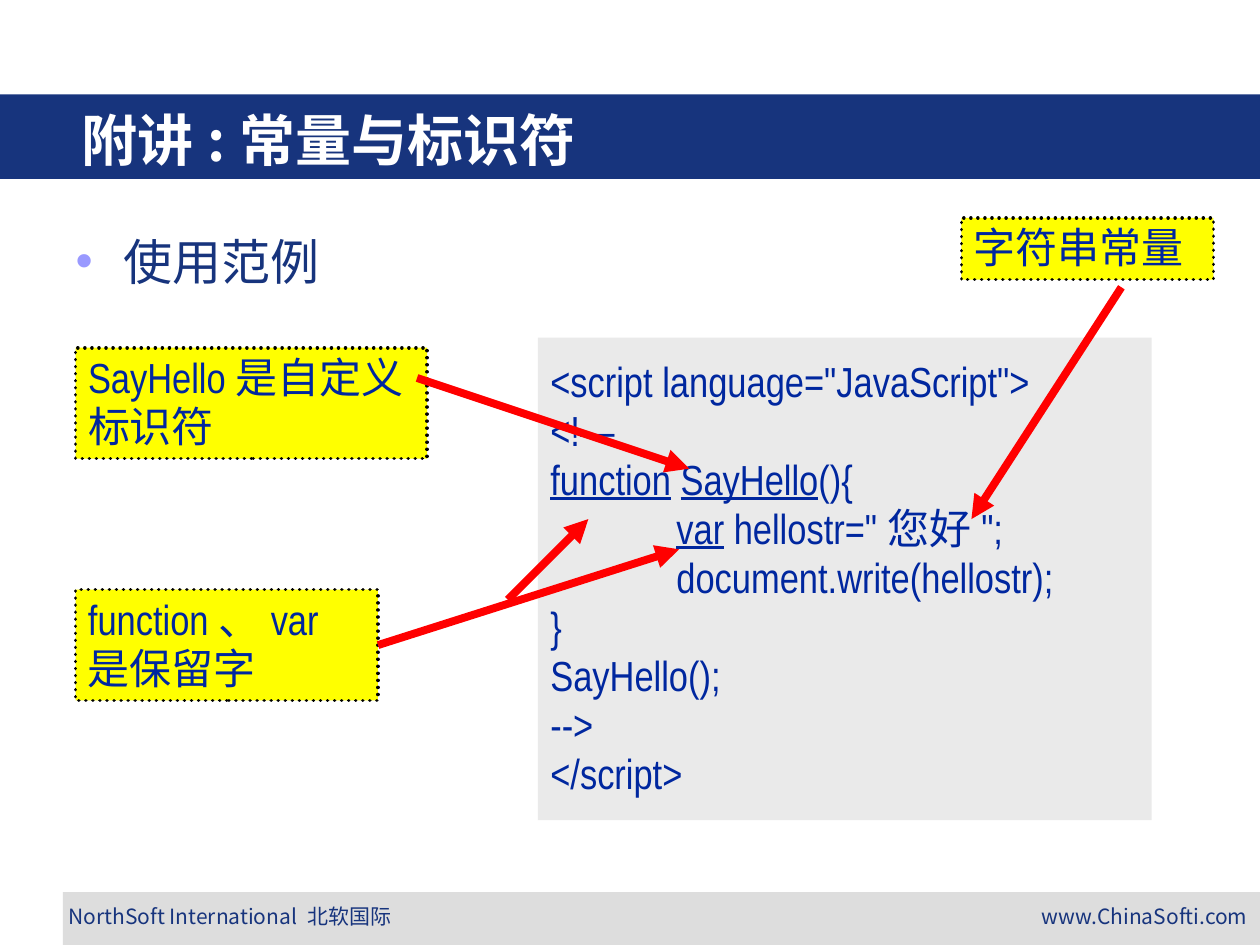
from lxml.etree import SubElement
from pptx import Presentation
from pptx.dml.color import RGBColor
from pptx.enum.dml import MSO_LINE
from pptx.enum.shapes import MSO_CONNECTOR, MSO_SHAPE
from pptx.enum.text import MSO_ANCHOR, PP_ALIGN
from pptx.oxml.ns import qn
from pptx.util import Inches, Pt

NAVY = RGBColor(0x17, 0x34, 0x7D)
BLUE = RGBColor(0x00, 0x27, 0x9F)
WHITE = RGBColor(0xFF, 0xFF, 0xFF)
GREY = RGBColor(0xDD, 0xDD, 0xDD)
PALE = RGBColor(0xEA, 0xEA, 0xEA)
YELLOW = RGBColor(0xFF, 0xFF, 0x00)
BLACK = RGBColor(0x00, 0x00, 0x00)
RED = RGBColor(0xFF, 0x00, 0x00)
SANS = "Noto Sans CJK SC"
NARROW = "Arial Narrow"

# Words between underscores are underlined.
CODE = [
    '<script language="JavaScript">',
    "<!—",
    "_function_ _SayHello_(){",
    '\t_var_ hellostr="您好";',
    "\tdocument.write(hellostr);",
    "}",
    "SayHello();",
    "-->",
    "</script>",
]


def style(run, size, color, face, bold=False):
    font = run.font
    font.size, font.name, font.bold = Pt(size), face, bold
    font.color.rgb = color
    SubElement(font._element, qn("a:ea"), typeface=SANS)


def place(shape, left, top, width, height):
    shape.left, shape.top = Inches(left), Inches(top)
    shape.width, shape.height = Inches(width), Inches(height)


def add_rect(slide, box, color):
    rect = slide.shapes.add_shape(MSO_SHAPE.RECTANGLE, *map(Inches, box))
    rect.shadow.inherit = False
    rect.fill.solid()
    rect.fill.fore_color.rgb = color
    rect.line.fill.background()
    return rect


def add_foot(slide, box, text, align):
    frame = slide.shapes.add_textbox(*map(Inches, box)).text_frame
    frame.word_wrap = True
    frame.text = text
    para = frame.paragraphs[0]
    para.alignment = align
    style(para.runs[0], 12, NAVY, SANS)


def set_title(slide, text):
    title = slide.shapes.title
    place(title, 0.55, 0.79, 8.53, 0.62)
    frame = title.text_frame
    frame.text = text
    frame.vertical_anchor = MSO_ANCHOR.MIDDLE
    para = frame.paragraphs[0]
    para.alignment = PP_ALIGN.LEFT
    style(para.runs[0], 32, WHITE, SANS, True)


def set_body(slide, text):
    body = slide.placeholders[1]
    place(body, 0.5, 1.55, 9, 5.34)
    body.text_frame.text = text
    para = body.text_frame.paragraphs[0]
    props = para._p.get_or_add_pPr()
    props.set("marL", str(Inches(0.38)))
    props.set("indent", str(-Inches(0.38)))
    tint = SubElement(props, qn("a:buClr"))
    SubElement(tint, qn("a:srgbClr"), val="9999FF")
    SubElement(props, qn("a:buChar"), char="•")
    para.line_spacing = 1.5
    para.space_before = Pt(0)
    style(para.runs[0], 28, NAVY, SANS)


def add_tabs(para, count):
    """Set left tab stops one inch apart."""
    tabs = SubElement(para._p.get_or_add_pPr(), qn("a:tabLst"))
    for stop in range(count):
        SubElement(tabs, qn("a:tab"), pos=str(Inches(stop)), algn="l")


def add_code(slide, box, lines):
    frame = add_rect(slide, box, PALE).text_frame
    frame.word_wrap = True
    frame.vertical_anchor = MSO_ANCHOR.MIDDLE
    for row, line in enumerate(lines):
        para = frame.add_paragraph() if row else frame.paragraphs[0]
        add_tabs(para, 8)
        para.alignment = PP_ALIGN.LEFT
        para.line_spacing = 0.97
        for part, text in enumerate(line.split("_")):
            if text:
                run = para.add_run()
                run.text = text
                style(run, 24, BLUE, NARROW)
                run.font.underline = part % 2 == 1


def add_note(slide, box, text):
    note = add_rect(slide, box, YELLOW)
    note.line.color.rgb = BLACK
    note.line.width = Pt(2)
    note.line.dash_style = MSO_LINE.ROUND_DOT
    note.line._get_or_add_ln().set("cap", "rnd")
    frame = note.text_frame
    frame.word_wrap = True
    frame.vertical_anchor = MSO_ANCHOR.TOP
    frame.text = text
    para = frame.paragraphs[0]
    para.alignment = PP_ALIGN.LEFT
    para.line_spacing = 0.98
    style(para.runs[0], 24, BLUE, NARROW)
    return note


def add_arrow(slide, start, end):
    arrow = slide.shapes.add_connector(
        MSO_CONNECTOR.STRAIGHT, *map(Inches, start + end))
    arrow.line.color.rgb = RED
    arrow.line.width = Pt(4.5)
    SubElement(arrow.line._get_or_add_ln(), qn("a:tailEnd"), type="triangle")
    SubElement(arrow._element.spPr, qn("a:effectLst"))
    return arrow


def add_frame(slide):
    """Draw the title band and the footer behind the placeholders."""
    bars = [add_rect(slide, (0.5, 7.08, 9.5, 0.42), GREY),
            add_rect(slide, (0, 0.75, 10, 0.67), NAVY)]
    for spot, bar in enumerate(bars):
        slide.shapes._spTree.insert(2 + spot, bar._element)
    add_foot(slide, (7.09, 7.12, 2.91, 0.42), "www.ChinaSofti.com",
             PP_ALIGN.RIGHT)
    add_foot(slide, (0.37, 7.12, 2.91, 0.42),
             "NorthSoft International 北软国际", PP_ALIGN.CENTER)


def main():
    deck = Presentation()
    deck.slide_width, deck.slide_height = Inches(10), Inches(7.5)
    slide = deck.slides.add_slide(deck.slide_layouts[1])
    add_frame(slide)
    set_title(slide, "附讲:常量与标识符")
    set_body(slide, "使用范例")
    add_code(slide, (4.27, 2.68, 4.87, 3.83), CODE)
    words = add_note(slide, (0.6, 4.68, 2.4, 0.88), "function、var是保留字")
    add_arrow(slide, (4.03, 4.76), (4.67, 4.12))
    add_note(slide, (0.6, 2.76, 2.79, 0.88), "SayHello是自定义标识符")
    add_arrow(slide, (3.31, 3), (5.47, 3.72))
    link = add_arrow(slide, (3, 5.12), (5.39, 4.36))
    link.begin_connect(words, 3)
    add_note(slide, (7.63, 1.73, 2, 0.49), "字符串常量")
    add_arrow(slide, (8.9, 2.28), (7.71, 4.12))
    deck.save("out.pptx")


if __name__ == "__main__":
    main()
